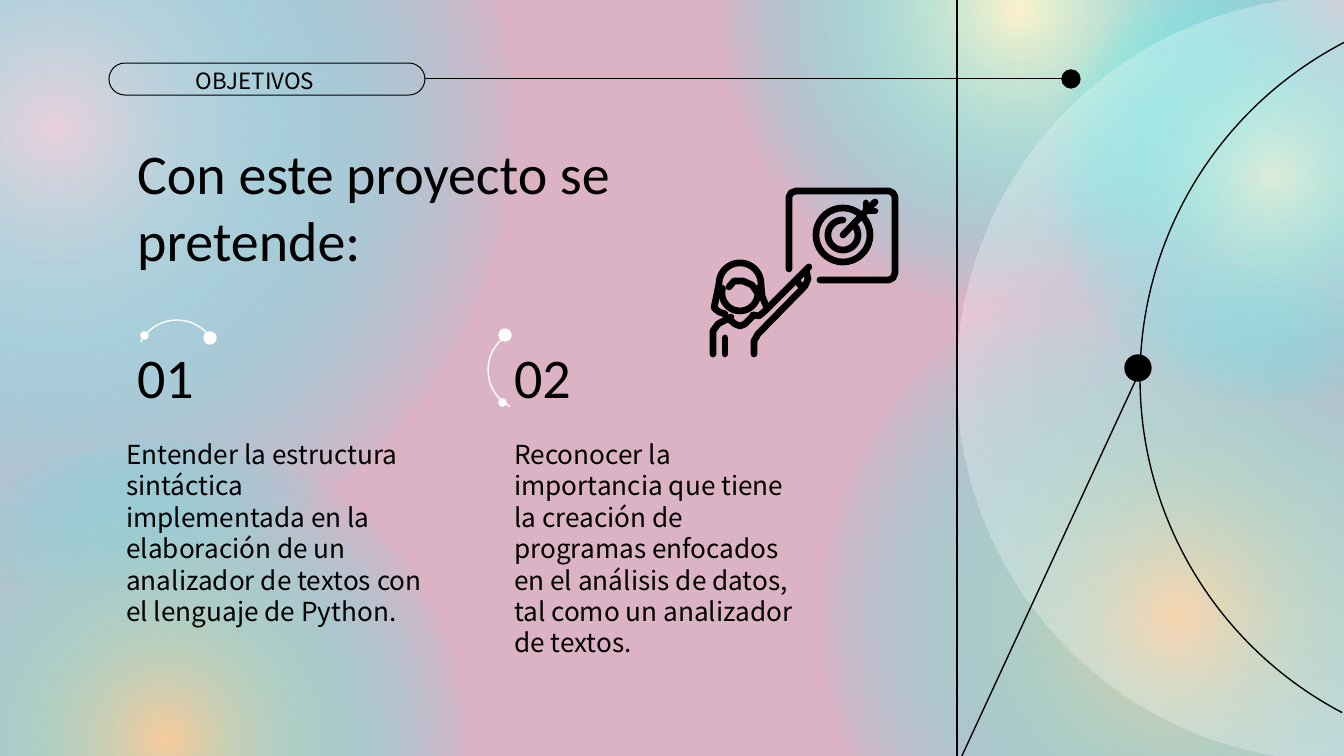
import math
import pptx
import pptx.util
import pptx.oxml
import pptx.oxml.ns
import pptx.dml.color
import pptx.enum.shapes
import pptx.enum.text

PX = 914400 / 134.4
KIND = pptx.enum.shapes.MSO_SHAPE
ANCHOR = pptx.enum.text.MSO_ANCHOR
ALIGN = pptx.enum.text.PP_ALIGN
THEME = {
    "pink": "DCB3C5", "ink": "000000", "white": "FFFFFF", "aqua": "00FFFF", "red": "FF0000",
    "peach": "F9CB9C", "rose": "EAD1DC", "cream": "FFF2CC", "mint": "D9EAD3",
    "thin": 0.54, "line": 0.75, "icon": 3.6,
    "heading": {"name": "Calibri", "size": 30},
    "body": {"name": "Noto Sans CJK KR", "size": 14, "spacing": 16.8},
    "label": {"name": "Noto Sans CJK KR", "size": 12, "spacing": 14.4},
}

GLOWS = [
    ((823, 258, 710, 715), "peach", 63),
    ((-399, -331, 909, 917), "rose", 63),
    ((655, -358, 727, 733), "cream", 51),
    ((999, -99, 547, 551), "mint", 51),
    ((-133, 438, 594, 599), "peach", 63),
]
MOON = (957, -3, 763, 763)
MOON_STOPS = [(0, "white", 32), (0, "white", 0), (100, "white", 51)]
ARC_ANGLES = (178.637, 37.829)
MOON_ANGLES = (39.696, 149.199)
ARCS = [
    ((1140, 0, 756, 756), 180, "ink"),
    ((488, 329, 82, 82), 180, "white"),
    ((136, 320, 82, 82), 270, "white"),
]
DOTS = [
    (1125, 355, 26, "ink"), (1062, 70, 18, "ink"),
    (499, 329, 12, "white"), (499, 399, 7, "white"),
    (204, 332, 12, "white"), (141, 332, 7, "white"),
]
LINES = [
    ((1140, 371), (949, 784), "line"),
    ((957, 759), (957, -3), "line"),
    ((425, 79), (1071, 79), "thin"),
]
PILL = (109, 63, 316, 32)
TEXTS = [
    ("Con este proyecto se pretende:", (124, 125, 621, 85), "heading", ANCHOR.TOP, ALIGN.LEFT),
    ("Entender la estructura sintáctica implementada en la elaboración de un analizador "
     "de textos con el lenguaje de Python.", (113, 425, 323, 71), "body", ANCHOR.TOP, ALIGN.LEFT),
    ("Reconocer la importancia que tiene la creación de programas enfocados en el análisis "
     "de datos, tal como un analizador de textos.", (501, 425, 323, 71), "body", ANCHOR.TOP, ALIGN.LEFT),
    ("01", (124, 343, 116, 66), "heading", ANCHOR.MIDDLE, ALIGN.LEFT),
    ("02", (501, 343, 116, 66), "heading", ANCHOR.MIDDLE, ALIGN.LEFT),
    ("OBJETIVOS", (109, 54, 292, 59), "label", ANCHOR.TOP, ALIGN.CENTER),
]


def curve(x, y, radius, start, end, steps=36):
    angles = [math.radians(start + (end - start) * i / steps) for i in range(steps + 1)]
    return [(x + radius * math.cos(a), y + radius * math.sin(a)) for a in angles]


ICON_STROKES = {
    "board": [(789, 269), (789, 197), (791, 193), (796, 191), (889, 191), (893, 193),
              (895, 197), (895, 273), (893, 278), (889, 280), (820, 280)],
    "outer ring": curve(843, 235, 27, 0, 360),
    "inner ring": curve(843, 235, 15, -90, -398),
    "arrow": [(843, 235), (866, 211), (875, 202)],
    "feathers": [(866, 203), (866, 211), (875, 211)],
    "hair": [(725, 314), (719, 312), (714, 308), *curve(740, 284, 21, 180, 360),
             (762, 296), (766, 306)],
    "face": curve(740, 293, 18, -15, 195),
    "fringe": [(729, 287), (734, 281), (743, 281), (752, 285), (757, 292)],
    "shoulder": [(713, 354), (713, 331), (718, 324), (731, 317)],
    "collar": [(729, 319), (735, 324), (740, 326), (745, 324), (753, 316)],
    "side": [(725, 338), (725, 354)],
    "arm top": [(753, 315), (759, 316), (764, 312), (809, 267)],
    "arm bottom": [(754, 354), (754, 341), (758, 334), (805, 286), (808, 279), (806, 270)],
    "cuff": [(797, 281), (801, 286)],
}


def emu(values):
    return [round(value * PX) for value in values]


def color(name):
    return pptx.dml.color.RGBColor.from_string(THEME[name])


def stroke(line, name, width):
    line.color.rgb = color(name)
    line.width = pptx.util.Pt(THEME[width])


def add_shape(kind, frame, rotation=0, fill=None, angles=()):
    shape = page.shapes.add_shape(kind, *emu(frame))
    shape.shadow.inherit = False
    shape.rotation = rotation
    for index, angle in enumerate(angles):
        shape.adjustments[index] = angle
    if fill:
        shape.fill.solid()
        shape.fill.fore_color.rgb = color(fill)
    else:
        shape.fill.background()
    shape.line.fill.background()
    return shape


def add_glow(shape, stops):
    marks = "".join(
        f'<a:gs pos="{position * 1000}"><a:srgbClr val="{THEME[name]}">'
        f'<a:alpha val="{alpha * 1000}"/></a:srgbClr></a:gs>'
        for position, name, alpha in stops)
    gradient = pptx.oxml.parse_xml(
        f'<a:gradFill {pptx.oxml.ns.nsdecls("a")} rotWithShape="1"><a:gsLst>{marks}</a:gsLst>'
        '<a:path path="circle"><a:fillToRect l="50000" t="50000" r="50000" b="50000"/></a:path>'
        '</a:gradFill>')
    properties = shape._element.spPr
    properties.replace(properties.find(pptx.oxml.ns.qn("a:noFill")), gradient)


def add_text(text, frame, style, anchor, align):
    box = page.shapes.add_textbox(*emu(frame))
    inset = round(13.44 * PX)
    formats = {"word_wrap": True, "vertical_anchor": anchor, "margin_left": inset,
               "margin_right": inset, "margin_top": inset, "margin_bottom": inset}
    for name, value in formats.items():
        setattr(box.text_frame, name, value)
    para = box.text_frame.paragraphs[0]
    para.alignment = align
    look = THEME[style]
    if "spacing" in look:
        para.line_spacing = pptx.util.Pt(look["spacing"])
    span = para.add_run()
    span.text = text
    for name, value in {"name": look["name"], "size": pptx.util.Pt(look["size"])}.items():
        setattr(span.font, name, value)
    span.font.color.rgb = color("ink")


deck = pptx.Presentation()
deck.slide_width, deck.slide_height = emu((1344, 756))
page = deck.slides.add_slide(deck.slide_layouts[6])
page.background.fill.solid()
page.background.fill.fore_color.rgb = color("pink")

for frame, name, middle in GLOWS:
    glow = add_shape(KIND.OVAL, frame, 80.3)
    add_glow(glow, [(0, name, 100), (middle, "aqua", 0), (100, "red", 0)])

moon = add_shape(KIND.CHORD, MOON, 157.4, angles=MOON_ANGLES)
moon._element.spPr.xfrm.set("flipH", "1")
add_glow(moon, MOON_STOPS)

for frame, rotation, name in ARCS:
    stroke(add_shape(KIND.ARC, frame, rotation, angles=ARC_ANGLES).line, name, "line")

for start, end, width in LINES:
    line = page.shapes.add_connector(pptx.enum.shapes.MSO_CONNECTOR.STRAIGHT, *emu(start + end))
    stroke(line.line, "ink", width)
    line._element.spPr.append(pptx.oxml.parse_xml(f'<a:effectLst {pptx.oxml.ns.nsdecls("a")}/>'))

stroke(add_shape(KIND.ROUNDED_RECTANGLE, PILL, angles=(0.5,)).line, "ink", "thin")

for left, top, size, name in DOTS:
    stroke(add_shape(KIND.OVAL, (left, top, size, size), fill=name).line, name, "line")

for text in TEXTS:
    add_text(*text)

for points in ICON_STROKES.values():
    start, *rest = [tuple(emu(point)) for point in points]
    builder = page.shapes.build_freeform(*start)
    builder.add_line_segments(rest, close=False)
    mark = builder.convert_to_shape()
    mark.shadow.inherit = False
    mark.fill.background()
    stroke(mark.line, "ink", "icon")
    mark.line._ln.set("cap", "rnd")

deck.save("out.pptx")
